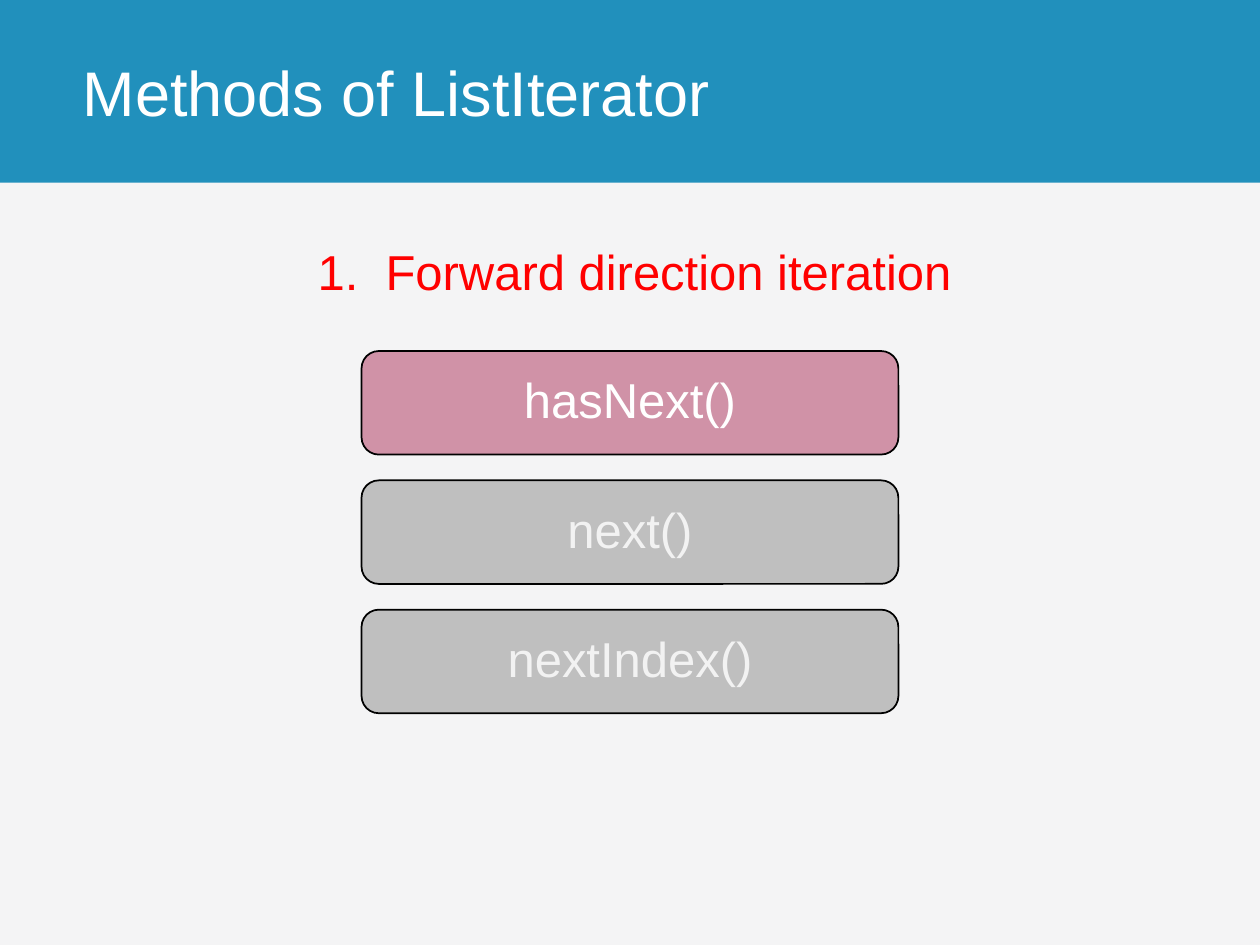
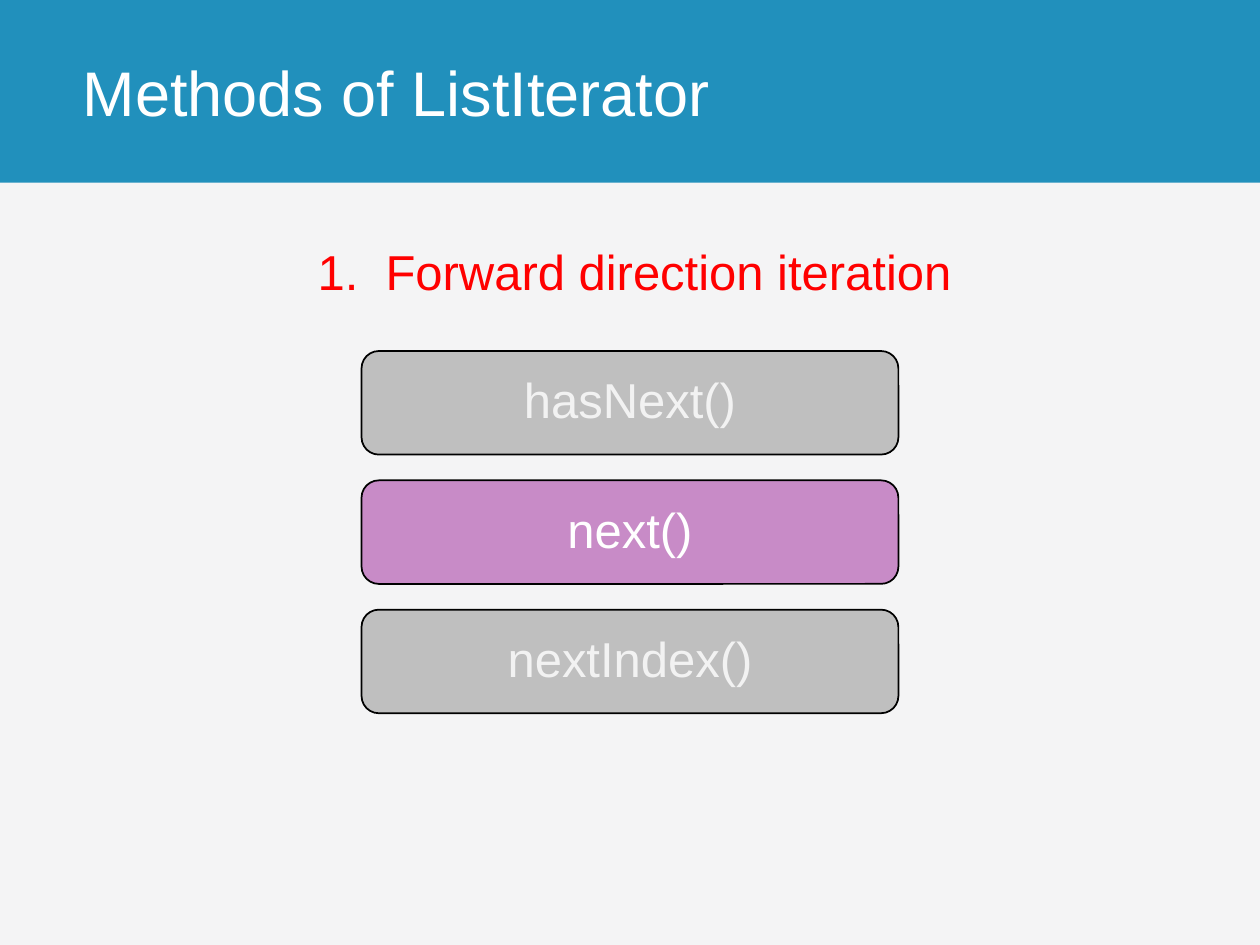
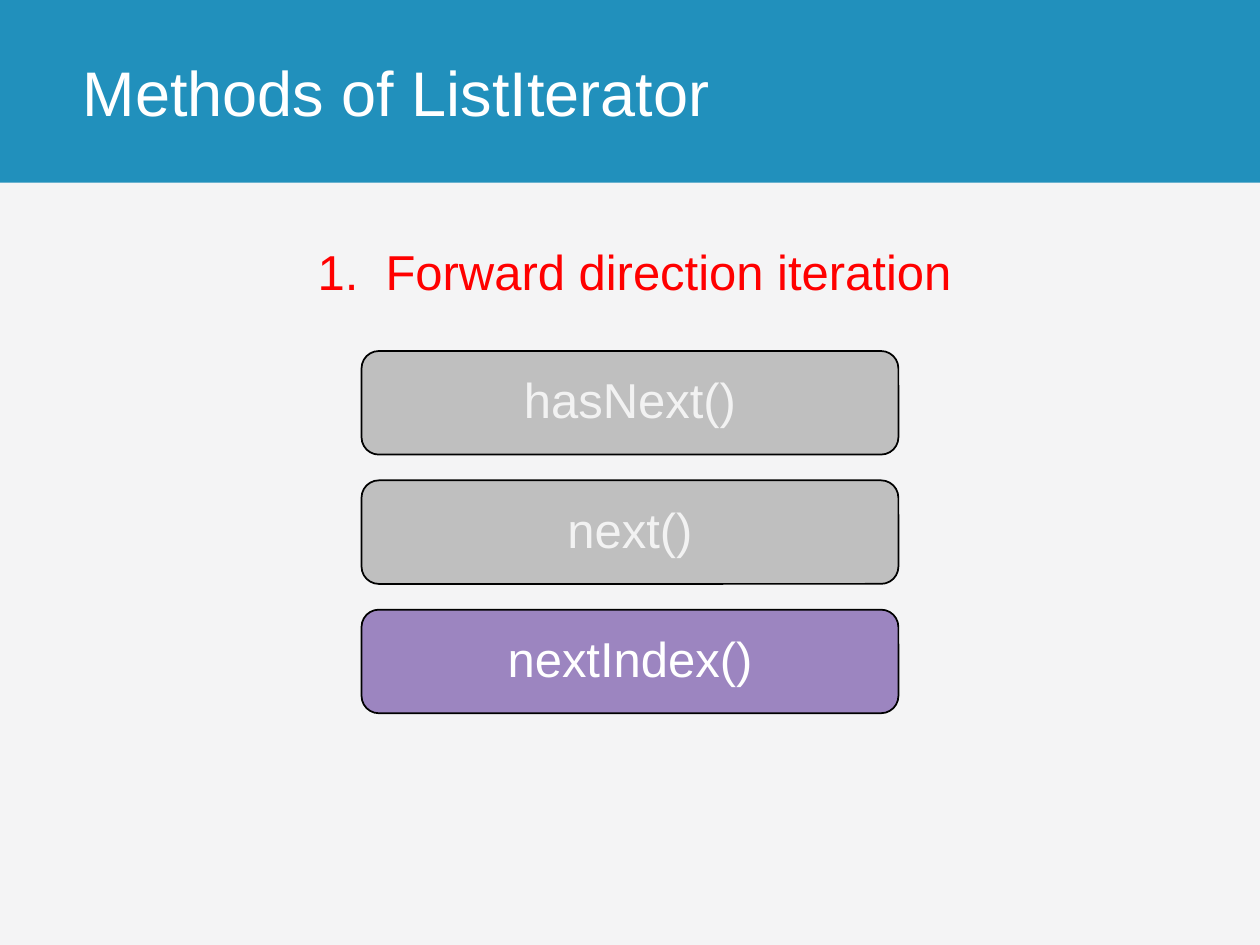
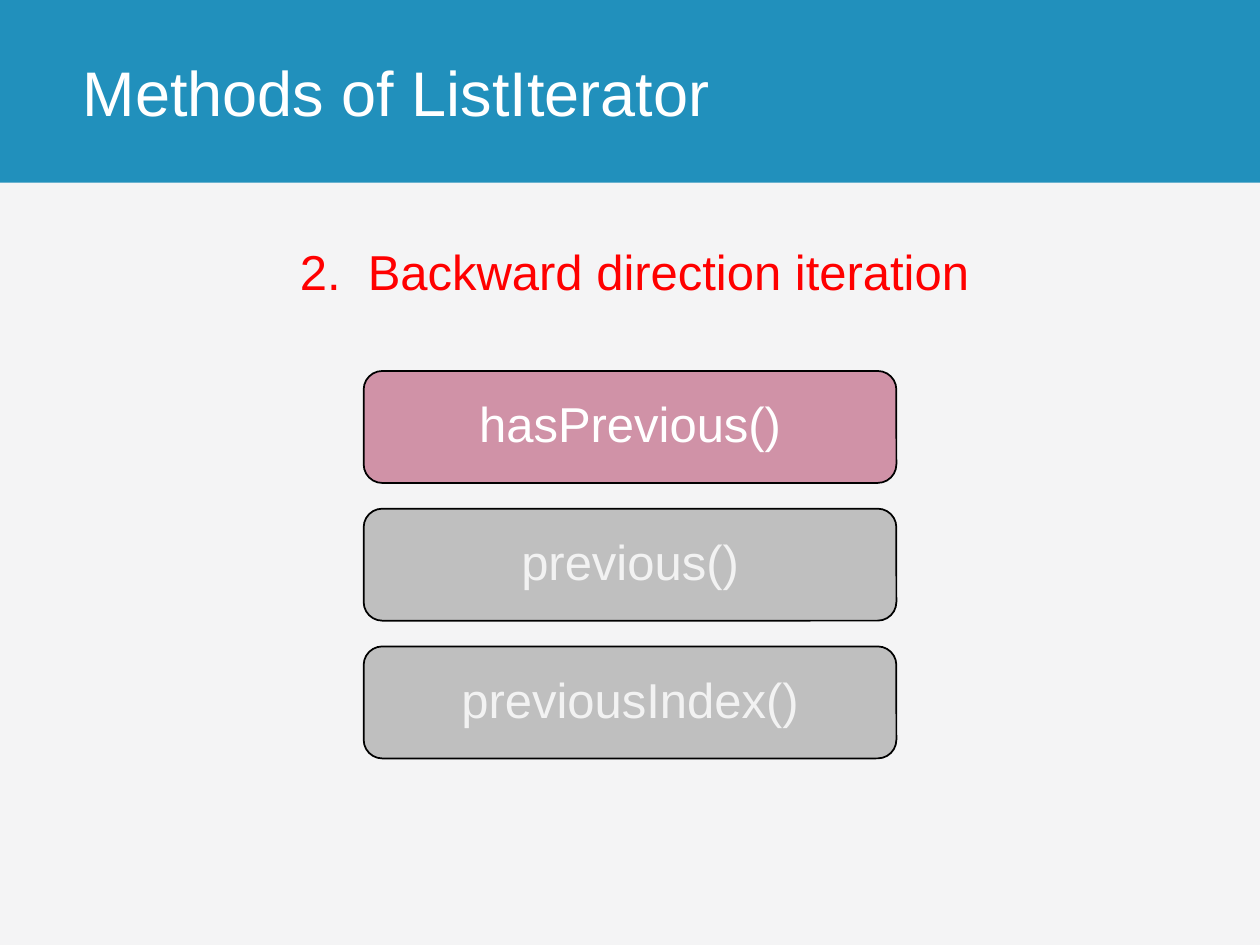
"""Build four slides that step through the methods of ListIterator."""
from pptx import Presentation
from pptx.dml.color import RGBColor
from pptx.enum.shapes import MSO_SHAPE
from pptx.enum.text import MSO_ANCHOR, PP_ALIGN
from pptx.util import Pt

RECTANGLE = MSO_SHAPE.RECTANGLE
ROUNDED = MSO_SHAPE.ROUNDED_RECTANGLE
TOP, MIDDLE = MSO_ANCHOR.TOP, MSO_ANCHOR.MIDDLE
LEFT, CENTER = PP_ALIGN.LEFT, PP_ALIGN.CENTER

TITLE = "Methods of ListIterator"
FORWARD = {
    "heading": "1.  Forward direction iteration",
    "methods": ["hasNext()", "next()", "nextIndex()"],
    "top": 200.6, "width": 306.8, "height": 59.2,
}
BACKWARD = {
    "heading": "2.  Backward direction iteration",
    "methods": ["hasPrevious()", "previous()", "previousIndex()"],
    "top": 212, "width": 304.4, "height": 64,
}
STEPS = [(FORWARD, 0), (FORWARD, 1), (FORWARD, 2), (BACKWARD, 0)]

COLORS = {
    "background": "F4F4F5", "band": "2190BC", "title": "FFFFFF",
    "heading": "FF0000", "outline": "000000",
    "active text": "FFFFFF", "idle": "BFBFBF", "idle text": "F2F2F2",
}
ACTIVE_FILLS = ["D092A7", "C88BC7", "9C85C0"]

FONT = "Arial"
SLIDE_WIDTH, SLIDE_HEIGHT = 720, 540
BAND_HEIGHT = 104.4
TEXT_LEFT = 40.3
METHOD_GAP = 14.7


def rgb(value):
    return RGBColor.from_string(value)


def write(box, text, size, color, align=LEFT, anchor=MIDDLE, spacing=1.0):
    frame = box.text_frame
    frame.word_wrap = True
    frame.vertical_anchor = anchor
    para = frame.paragraphs[0]
    para.alignment = align
    para.line_spacing = spacing
    span = para.add_run()
    span.text = text
    span.font.name = FONT
    span.font.size = Pt(size)
    span.font.color.rgb = rgb(color)


def add_panel(page, kind, left, top, width, height, fill):
    panel = page.shapes.add_shape(kind, Pt(left), Pt(top), Pt(width), Pt(height))
    panel.shadow.inherit = False
    panel.fill.solid()
    panel.fill.fore_color.rgb = rgb(fill)
    panel.line.fill.background()
    return panel


def add_text_box(page, left, top, width, height):
    return page.shapes.add_textbox(Pt(left), Pt(top), Pt(width), Pt(height))


def add_frame(page, heading):
    add_panel(page, RECTANGLE, 0, 0, SLIDE_WIDTH, BAND_HEIGHT, COLORS["band"])
    body = add_text_box(page, TEXT_LEFT, 113, 644.4, 419.8)
    body.text_frame.margin_top = Pt(8)
    write(body, heading, 28, COLORS["heading"], CENTER, TOP, 1.5)
    title = add_text_box(page, TEXT_LEFT, 0, SLIDE_WIDTH - TEXT_LEFT, BAND_HEIGHT)
    write(title, TITLE, 36, COLORS["title"])


def add_methods(page, group, active):
    width, height = group["width"], group["height"]
    left = (SLIDE_WIDTH - width) / 2
    for index, method in enumerate(group["methods"]):
        is_active = index == active
        fill = ACTIVE_FILLS[index] if is_active else COLORS["idle"]
        color = COLORS["active text" if is_active else "idle text"]
        top = group["top"] + index * (height + METHOD_GAP)
        panel = add_panel(page, ROUNDED, left, top, width, height, fill)
        panel.line.color.rgb = rgb(COLORS["outline"])
        panel.line.width = Pt(1)
        write(panel, method, 28, color, CENTER, spacing=0.9)


def main():
    deck = Presentation()
    deck.slide_width, deck.slide_height = Pt(SLIDE_WIDTH), Pt(SLIDE_HEIGHT)
    backdrop = deck.slide_master.background.fill
    backdrop.solid()
    backdrop.fore_color.rgb = rgb(COLORS["background"])
    for group, active in STEPS:
        page = deck.slides.add_slide(deck.slide_layouts[6])
        add_frame(page, group["heading"])
        add_methods(page, group, active)
    deck.save("out.pptx")


if __name__ == "__main__":
    main()
